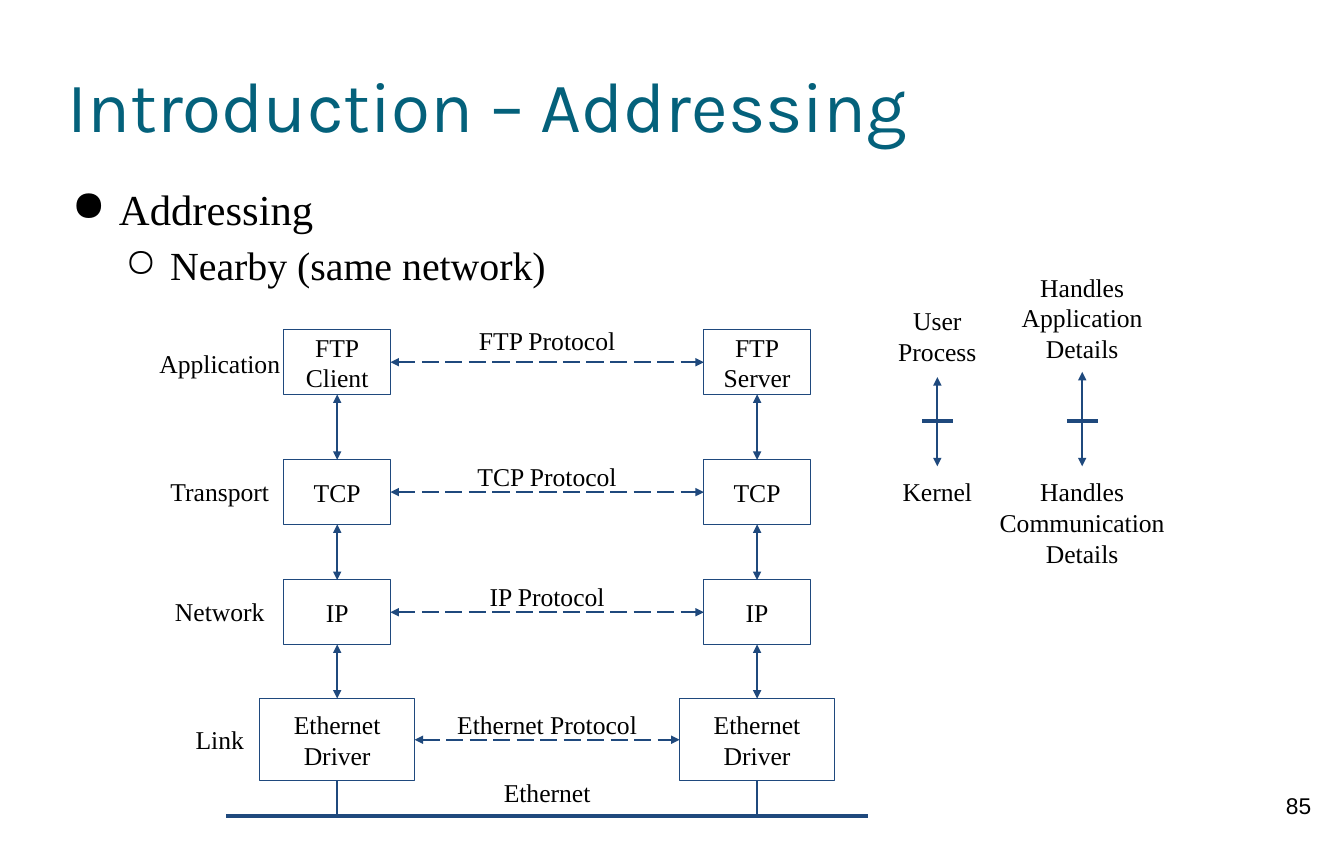
from dataclasses import dataclass

from lxml import etree
from pptx import Presentation
from pptx.dml.color import RGBColor
from pptx.enum.dml import MSO_LINE
from pptx.enum.shapes import MSO_CONNECTOR, MSO_SHAPE
from pptx.enum.text import MSO_ANCHOR, PP_ALIGN
from pptx.oxml.ns import qn
from pptx.shapes.base import BaseShape
from pptx.slide import Slide
from pptx.text.text import TextFrame, _Paragraph
from pptx.util import Cm, Pt

STRAIGHT = MSO_CONNECTOR.STRAIGHT
RECTANGLE = MSO_SHAPE.RECTANGLE
LONG_DASH = MSO_LINE.LONG_DASH
TOP, MIDDLE = MSO_ANCHOR.TOP, MSO_ANCHOR.MIDDLE
LEFT, CENTER = PP_ALIGN.LEFT, PP_ALIGN.CENTER


@dataclass(frozen=True)
class TextStyle:
    font: str
    size: float
    color: RGBColor


BLACK = RGBColor(0x00, 0x00, 0x00)


@dataclass(frozen=True)
class Theme:
    title: TextStyle = TextStyle("Karla", 50, RGBColor(0x04, 0x61, 0x7B))
    topic: TextStyle = TextStyle("Times New Roman", 30, BLACK)
    subtopic: TextStyle = TextStyle("Times New Roman", 28, BLACK)
    diagram: TextStyle = TextStyle("Times New Roman", 18, BLACK)
    page_number: TextStyle = TextStyle("Arial", 16, BLACK)
    line: RGBColor = RGBColor(0x1F, 0x49, 0x7D)
    outline: float = 0.75
    arrow: float = 1.5
    heavy: float = 3


@dataclass(frozen=True)
class Area:
    left: float
    top: float
    width: float
    height: float


@dataclass(frozen=True)
class Bullet:
    text: str
    symbol: str
    margin: float
    indent: float
    style: TextStyle


@dataclass(frozen=True)
class Layer:
    name: str
    client: str
    server: str
    protocol: str
    top: float
    width: float
    height: float
    name_top: float
    protocol_top: float

    @property
    def bottom(self) -> float:
        return self.top + self.height

    @property
    def middle(self) -> float:
        return self.top + self.height / 2


@dataclass(frozen=True)
class Scope:
    center: float
    upper: str
    upper_top: float
    arrow_top: float
    lower: str


THEME = Theme()
NAME_X, CLIENT_X, SERVER_X = 5.45, 8.36, 18.77
PROTOCOL_X = (CLIENT_X + SERVER_X) / 2
ETHERNET_Y = 20.24
SCOPE_ARROW_BOTTOM, SCOPE_DIVIDER_Y, DIVIDER_HALF = 11.56, 10.44, 0.38

BULLETS = (
    Bullet("Addressing", "●", 1.27, -1.17, THEME.topic),
    Bullet("Nearby (same network)", "○", 2.54, -1.12, THEME.subtopic),
)
LAYERS = (
    Layer("Application", "FTP\nClient", "FTP\nServer", "FTP Protocol", 8.18, 2.64, 1.6, 8.38, 7.8),
    Layer("Transport", "TCP", "TCP", "TCP Protocol", 11.4, 2.64, 1.6, 11.56, 11.18),
    Layer("Network", "IP", "IP", "IP Protocol", 14.38, 2.64, 1.6, 14.53, 14.15),
    Layer("Link", "Ethernet\nDriver", "Ethernet\nDriver", "Ethernet Protocol",
          17.32, 3.84, 2.04, 17.7, 17.32),
)
SCOPES = (
    Scope(23.24, "User\nProcess", 7.32, 9.35, "Kernel"),
    Scope(26.83, "Handles\nApplication\nDetails", 6.48, 9.22, "Handles\nCommunication\nDetails"),
)


def add_run(paragraph: _Paragraph, text: str, style: TextStyle) -> None:
    run = paragraph.add_run()
    run.text = text
    run.font.name = style.font
    run.font.size = Pt(style.size)
    run.font.color.rgb = style.color


def prepare_frame(shape: BaseShape, inset: float, anchor: MSO_ANCHOR) -> TextFrame:
    frame = shape.text_frame
    frame.word_wrap = True
    frame.vertical_anchor = anchor
    frame.margin_left = frame.margin_right = Cm(inset)
    frame.margin_top = frame.margin_bottom = Cm(inset)
    return frame


def write_lines(frame: TextFrame, text: str, style: TextStyle, alignment: PP_ALIGN) -> None:
    for index, line in enumerate(text.split("\n")):
        paragraph = frame.add_paragraph() if index else frame.paragraphs[0]
        paragraph.alignment = alignment
        add_run(paragraph, line, style)


def add_text_frame(slide: Slide, area: Area, inset: float = 0.25,
                   anchor: MSO_ANCHOR = TOP) -> TextFrame:
    shape = slide.shapes.add_textbox(
        Cm(area.left), Cm(area.top), Cm(area.width), Cm(area.height))
    return prepare_frame(shape, inset, anchor)


def add_label(slide: Slide, text: str, center: float, top: float, width: float) -> None:
    height = 0.5 + 0.73 * len(text.split("\n"))
    frame = add_text_frame(slide, Area(center - width / 2, top, width, height))
    write_lines(frame, text, THEME.diagram, CENTER)


def add_box(slide: Slide, text: str, center: float, layer: Layer) -> None:
    shape = slide.shapes.add_shape(
        RECTANGLE, Cm(center - layer.width / 2), Cm(layer.top), Cm(layer.width), Cm(layer.height))
    shape.shadow.inherit = False
    shape.fill.background()
    shape.line.color.rgb = THEME.line
    shape.line.width = Pt(THEME.outline)
    write_lines(prepare_frame(shape, 0.25, MIDDLE), text, THEME.diagram, CENTER)


def add_line(slide: Slide, start: tuple[float, float], end: tuple[float, float],
             weight: float = THEME.arrow, arrows: bool = False, dashed: bool = False) -> None:
    connector = slide.shapes.add_connector(
        STRAIGHT, Cm(start[0]), Cm(start[1]), Cm(end[0]), Cm(end[1]))
    connector.line.color.rgb = THEME.line
    connector.line.width = Pt(weight)
    if dashed:
        connector.line.dash_style = LONG_DASH
    properties = connector._element.spPr
    if arrows:
        for tag in ("a:headEnd", "a:tailEnd"):
            etree.SubElement(properties.find(qn("a:ln")), qn(tag), type="triangle")
    etree.SubElement(properties, qn("a:effectLst"))


def add_bullets(slide: Slide) -> None:
    frame = add_text_frame(slide, Area(1.68, 4.34, 30.07, 2.67), inset=0)
    for level, bullet in enumerate(BULLETS):
        paragraph = frame.add_paragraph() if level else frame.paragraphs[0]
        paragraph.level = level
        paragraph.line_spacing = 1.15
        properties = paragraph._p.get_or_add_pPr()
        properties.set("marL", str(Cm(bullet.margin)))
        properties.set("indent", str(Cm(bullet.indent)))
        color = etree.SubElement(properties, qn("a:buClr"))
        etree.SubElement(color, qn("a:srgbClr"), val=str(bullet.style.color))
        etree.SubElement(properties, qn("a:buChar"), char=bullet.symbol)
        add_run(paragraph, bullet.text, bullet.style)


def add_protocol_stack(slide: Slide) -> None:
    for layer in LAYERS:
        add_box(slide, layer.client, CLIENT_X, layer)
        add_box(slide, layer.server, SERVER_X, layer)
        add_line(slide, (CLIENT_X + layer.width / 2, layer.middle),
                 (SERVER_X - layer.width / 2, layer.middle), arrows=True, dashed=True)
        add_label(slide, layer.protocol, PROTOCOL_X, layer.protocol_top, 5.41)
        add_label(slide, layer.name, NAME_X, layer.name_top, 4.09)
    for center in (CLIENT_X, SERVER_X):
        for upper, lower in zip(LAYERS, LAYERS[1:]):
            add_line(slide, (center, lower.top), (center, upper.bottom), arrows=True)
        add_line(slide, (center, LAYERS[-1].bottom), (center, ETHERNET_Y))
    add_line(slide, (5.61, ETHERNET_Y), (21.51, ETHERNET_Y), THEME.heavy)
    add_label(slide, "Ethernet", PROTOCOL_X, 19.02, 5.41)


def add_scope(slide: Slide, scope: Scope) -> None:
    add_label(slide, scope.upper, scope.center, scope.upper_top, 4.85)
    add_label(slide, scope.lower, scope.center, SCOPE_ARROW_BOTTOM, 4.85)
    add_line(slide, (scope.center, scope.arrow_top),
             (scope.center, SCOPE_ARROW_BOTTOM), arrows=True)
    add_line(slide, (scope.center - DIVIDER_HALF, SCOPE_DIVIDER_Y),
             (scope.center + DIVIDER_HALF, SCOPE_DIVIDER_Y), THEME.heavy)


def main() -> None:
    presentation = Presentation()
    presentation.slide_width, presentation.slide_height = Cm(33.32), Cm(21)
    slide = presentation.slides.add_slide(presentation.slide_layouts[6])
    title = add_text_frame(slide, Area(1.68, 0.84, 30, 3.5), inset=0, anchor=MIDDLE)
    write_lines(title, "Introduction – Addressing", THEME.title, LEFT)
    add_bullets(slide)
    add_protocol_stack(slide)
    for scope in SCOPES:
        add_scope(slide, scope)
    page_number = add_text_frame(slide, Area(31.19, 19.38, 2.01, 1.6))
    write_lines(page_number, "85", THEME.page_number, CENTER)
    presentation.save("out.pptx")


if __name__ == "__main__":
    main()
